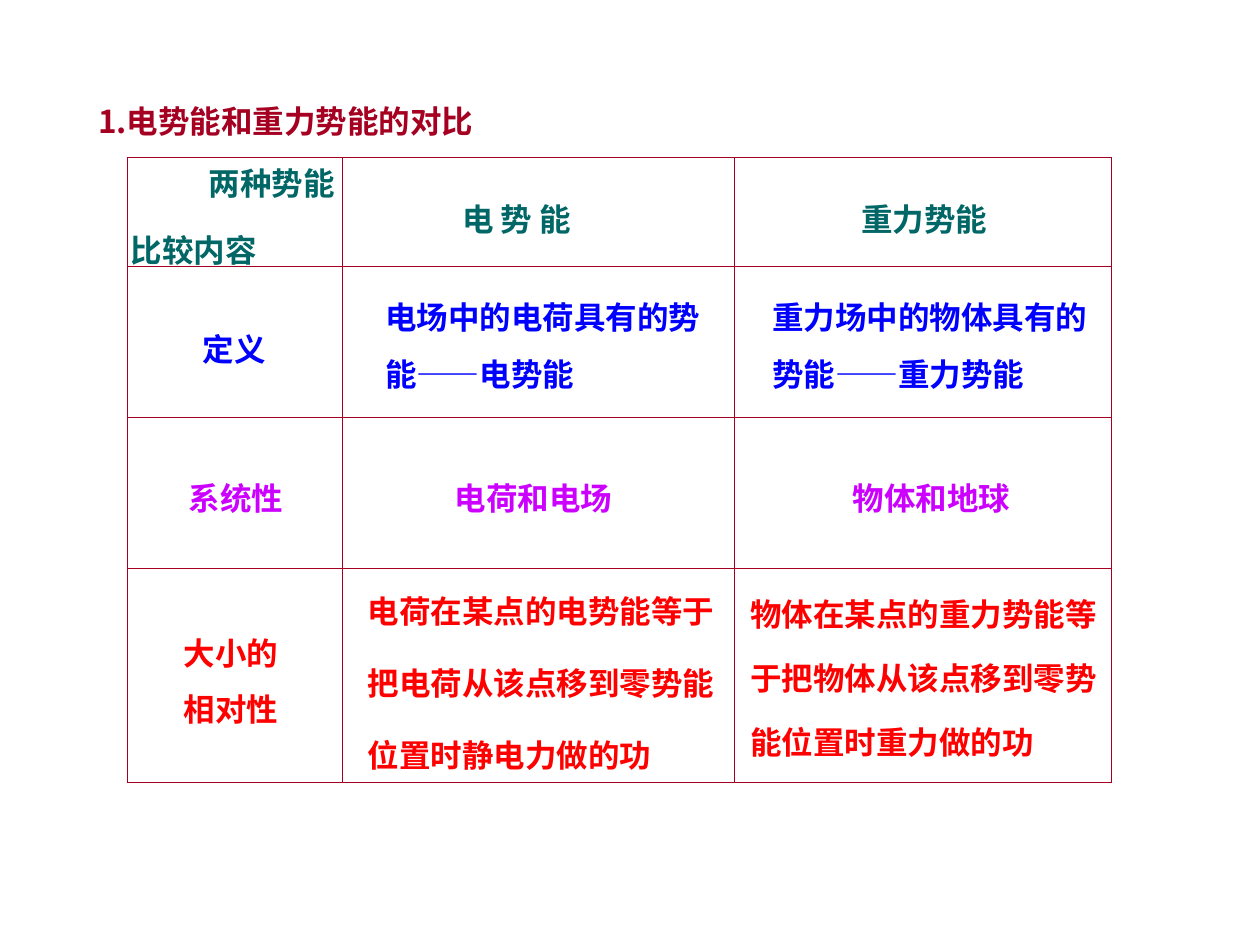
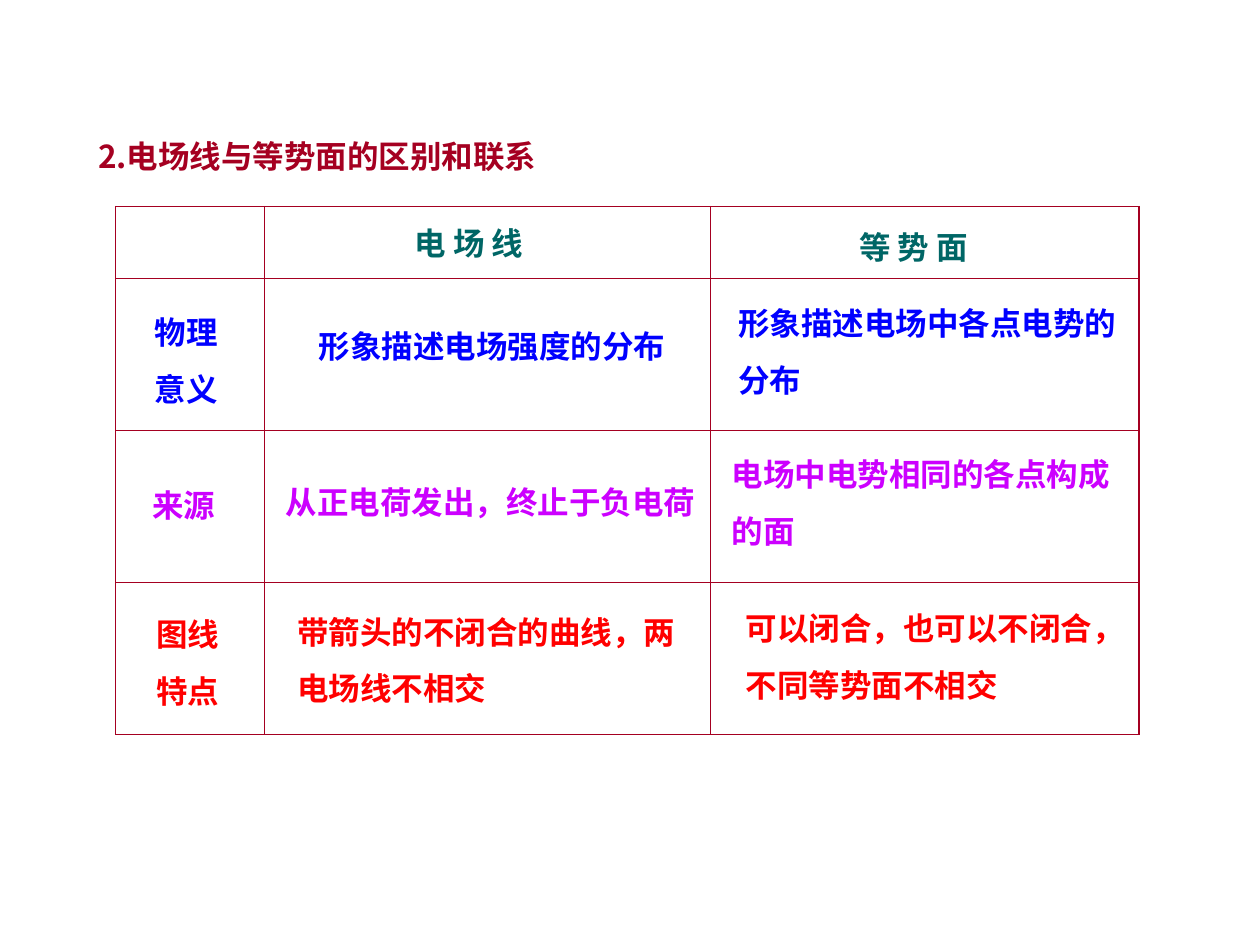
"""Build two comparison slides: potential energies, then field lines and equipotential surfaces."""
from dataclasses import dataclass
from itertools import accumulate
from typing import NamedTuple

from lxml.etree import SubElement
from pptx import Presentation
from pptx.dml.color import RGBColor
from pptx.enum.text import MSO_AUTO_SIZE as AutoSize
from pptx.oxml import parse_xml
from pptx.oxml.ns import nsdecls, qn
from pptx.util import Pt


@dataclass(frozen=True)
class Theme:
    font: str = "Noto Sans CJK SC"
    size: float = 18
    accent: str = "A50021"
    rows: tuple = ("006666", "0000FF", "CC00FF", "FF0000")
    outer: float = 0.75
    inner: float = 0.45
    leading: float = 1.5
    inset_x: float = 7.2
    inset_y: float = 3.6


class Entry(NamedTuple):
    """Text of a cell, its indent from the column, its rise above the row centre, and its width."""
    text: str
    indent: float
    rise: float
    width: float
    leading: float = 1.5


THEME = Theme()
TITLE_LEFT = 49

COMPARISONS = [
    {
        "title": "1.电势能和重力势能的对比", "title_top": 44, "title_width": 286,
        "origin": (72.7, 90),
        "columns": (123.1, 223.9, 215.3),
        "rows": (62, 86.4, 86.4, 122.4),
        "entries": [
            [[Entry("两种势能", 39.6, 22, 117), Entry("比较内容", -5, -16.2, 117)],
             [Entry("电 势 能", 61.2, 1.1, 117)],
             [Entry("重力势能", 65.5, 1.1, 117)]],
            [[Entry("定义", 36, 1.2, 117)],
             [Entry("电场中的电荷具有的势\n能——电势能", 17.3, 3, 244)],
             [Entry("重力场中的物体具有的\n势能——重力势能", 14.4, 3, 240)]],
            [[Entry("系统性", 28.1, 2.6, 100)],
             [Entry("电荷和电场", 56.9, 2.6, 139)],
             [Entry("物体和地球", 60.4, 2.6, 139)]],
            [[Entry("大小的\n相对性", 25.2, 2.2, 139)],
             [Entry("电荷在某点的电势能等于\n把电荷从该点移到零势能\n位置时静电力做的功",
                    7.2, 5.5, 243.4, 1.9)],
             [Entry("物体在某点的重力势能等\n于把物体从该点移到零势\n能位置时重力做的功",
                    2.1, 6.2, 257, 1.7)]],
        ],
    },
    {
        "title": "2.电场线与等势面的区别和联系", "title_top": 64, "title_width": 338,
        "origin": (66.2, 118),
        "columns": (85, 254.9, 244.8),
        "rows": (41, 86.9, 86.9, 86.9),
        "entries": [
            [[],
             [Entry("电 场 线", 78.5, 5, 101)],
             [Entry("等 势 面", 77.7, 2.9, 101)]],
            [[Entry("物理\n意义", 15.2, 1.7, 101)],
             [Entry("形象描述电场强度的分布", 23.8, 10, 278.6)],
             [Entry("形象描述电场中各点电势的\n分布", 8.6, 6.8, 269.3)]],
            [[Entry("来源", 13.7, 6.3, 80)],
             [Entry("从正电荷发出，终止于负电荷", 5, 7.7, 275.8)],
             [Entry("电场中电势相同的各点构成\n的面", 5, 7.4, 275.8)]],
            [[Entry("图线\n特点", 15.9, 2.9, 98.6)],
             [Entry("带箭头的不闭合的曲线，两\n电场线不相交", 11.5, 4.4, 274.3)],
             [Entry("可以闭合，也可以不闭合，\n不同等势面不相交", 12.9, 6.5, 270)]],
        ],
    },
]


def text_height(text, leading):
    lines = text.count("\n") + 1
    return lines * THEME.size * 1.2 * leading + 2 * THEME.inset_y


def add_text(slide, text, left, top, width, color, leading=THEME.leading):
    box = slide.shapes.add_textbox(
        Pt(left), Pt(top), Pt(width), Pt(text_height(text, leading)))
    frame = box.text_frame
    frame.word_wrap = True
    frame.auto_size = AutoSize.SHAPE_TO_FIT_TEXT
    frame.margin_left = frame.margin_right = Pt(THEME.inset_x)
    frame.margin_top = frame.margin_bottom = Pt(THEME.inset_y)
    frame.text = text
    for paragraph in frame.paragraphs:
        paragraph.line_spacing = leading
        for run in paragraph.runs:
            run.font.size = Pt(THEME.size)
            run.font.bold = True
            run.font.color.rgb = RGBColor.from_string(color)
            run.font.name = THEME.font
            SubElement(run.font._element, qn("a:ea"), typeface=THEME.font)


def set_borders(cell, outer_sides):
    properties = cell._tc.get_or_add_tcPr()
    for position, side in enumerate("LRTB"):
        width = THEME.outer if side in outer_sides else THEME.inner
        properties.insert(position, parse_xml(
            f'<a:ln{side} {nsdecls("a")} w="{Pt(width)}"><a:solidFill>'
            f'<a:srgbClr val="{THEME.accent}"/></a:solidFill></a:ln{side}>'))


def add_grid(slide, origin, columns, rows):
    left, top = origin
    grid = slide.shapes.add_table(
        len(rows), len(columns), Pt(left), Pt(top), Pt(sum(columns)), Pt(sum(rows))).table
    grid.first_row = grid.horz_banding = False
    for column, width in zip(grid.columns, columns):
        column.width = Pt(width)
    for r, height in enumerate(rows):
        grid.rows[r].height = Pt(height)
        for c in range(len(columns)):
            cell = grid.cell(r, c)
            cell.fill.background()
            edges = {"L": c == 0, "R": c == len(columns) - 1,
                     "T": r == 0, "B": r == len(rows) - 1}
            set_borders(cell, [side for side, outer in edges.items() if outer])


def add_comparison(slide, comparison):
    add_text(slide, comparison["title"], TITLE_LEFT, comparison["title_top"],
             comparison["title_width"], THEME.accent)
    origin, columns, rows = (comparison[key] for key in ("origin", "columns", "rows"))
    add_grid(slide, origin, columns, rows)
    lefts = list(accumulate(columns, initial=origin[0]))
    tops = accumulate(rows, initial=origin[1])
    for row, top, height, color in zip(comparison["entries"], tops, rows, THEME.rows):
        for left, entries in zip(lefts, row):
            for entry in entries:
                entry_top = (top + height / 2 - entry.rise
                             - text_height(entry.text, entry.leading) / 2)
                add_text(slide, entry.text, left + entry.indent, entry_top,
                         entry.width, color, entry.leading)


def main():
    deck = Presentation()
    deck.slide_width, deck.slide_height = Pt(720), Pt(540)
    for comparison in COMPARISONS:
        add_comparison(deck.slides.add_slide(deck.slide_layouts[6]), comparison)
    deck.save("out.pptx")


if __name__ == "__main__":
    main()
